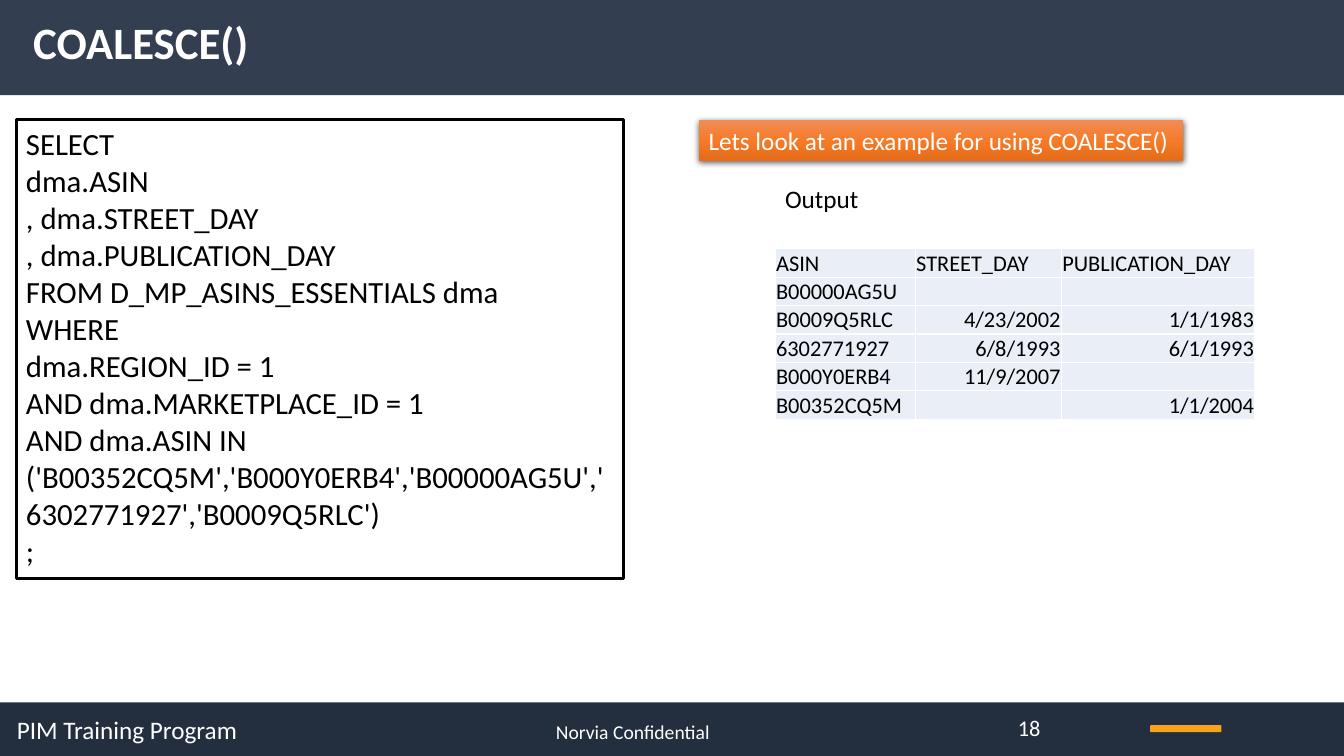
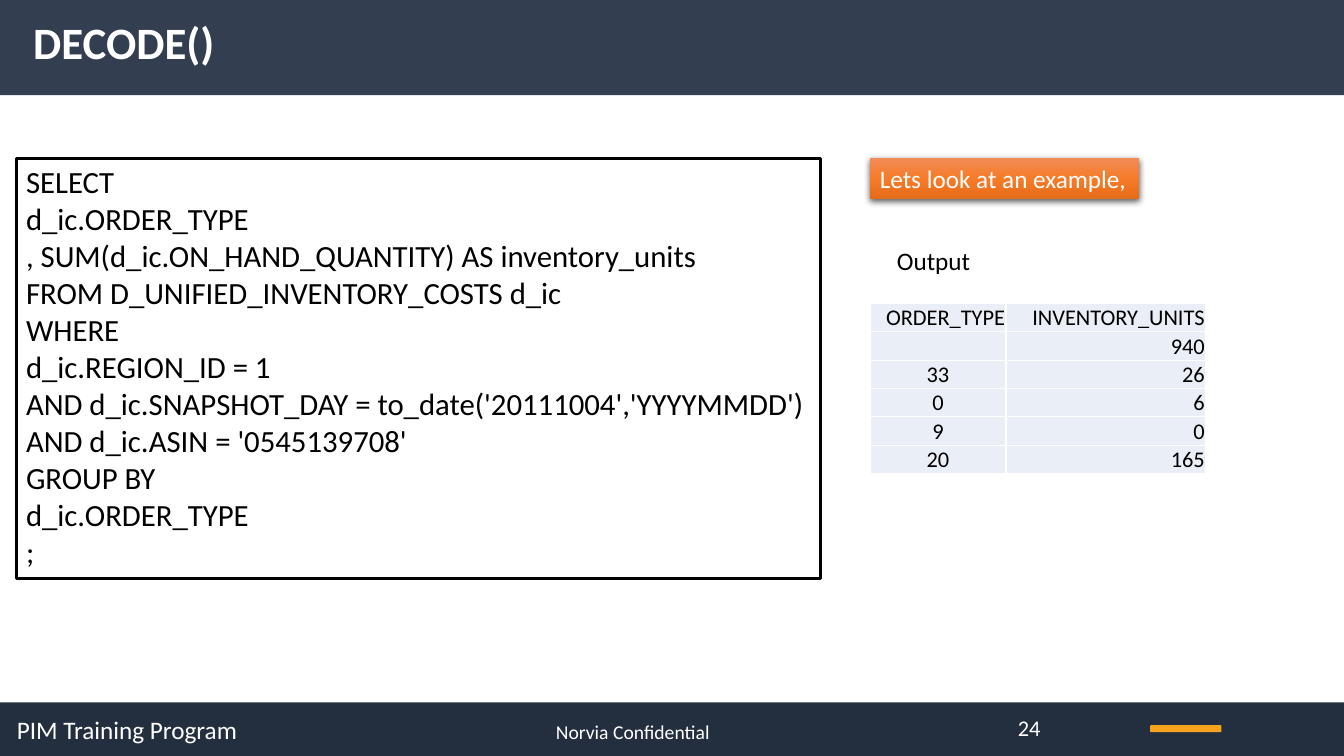
from copy import deepcopy

from lxml import etree
from pptx import Presentation
from pptx.dml import color
from pptx.enum import shapes, text
from pptx.oxml import ns
from pptx.util import Pt

FONT = "Calibri"
WIDTH, HEIGHT = 960, 540
WHITE, BLACK = "FFFFFF", "000000"
TITLE_BAND, FOOTER_BAND, ACCENT = "333F50", "232F3E", "F7A31E"
CELL_FILL = "EAEFF7"
BUTTON_STOPS = [(0, "F18C57"), (0.5, "F67B28"), (1, "E56C19")]
CODE_LEFT, CODE_BOTTOM = 11.5, 413
LABEL_HEIGHT, ROW_HEIGHT = 29, 19.92
ALIGNMENTS = {
    "l": text.PP_ALIGN.LEFT,
    "c": text.PP_ALIGN.CENTER,
    "r": text.PP_ALIGN.RIGHT,
}

COALESCE = {
    "title": "COALESCE()",
    "number": "18",
    "top": 85.7,
    "code_width": 434.2,
    "code": [
        "SELECT",
        "dma.ASIN",
        ", dma.STREET_DAY",
        ", dma.PUBLICATION_DAY",
        "FROM D_MP_ASINS_ESSENTIALS dma",
        "WHERE",
        "dma.REGION_ID = 1",
        "AND dma.MARKETPLACE_ID = 1",
        "AND dma.ASIN IN ('B00352CQ5M','B000Y0ERB4','B00000AG5U',"
        "'6302771927','B0009Q5RLC')",
        ";",
    ],
    "button": ("Lets look at an example for using COALESCE()", 499, 346.3),
    "output": (553.7, 127.4),
    "table": (553.7, 177.8),
    "columns": [100.1, 104.4, 138.2],
    "header_align": "lll",
    "body_align": "lrr",
    "rows": [
        ("ASIN", "STREET_DAY", "PUBLICATION_DAY"),
        ("B00000AG5U", "", ""),
        ("B0009Q5RLC", "4/23/2002", "1/1/1983"),
        ("6302771927", "6/8/1993", "6/1/1993"),
        ("B000Y0ERB4", "11/9/2007", ""),
        ("B00352CQ5M", "", "1/1/2004"),
    ],
}

DECODE = {
    "title": "DECODE()",
    "number": "24",
    "top": 113,
    "code_width": 574.6,
    "code": [
        "SELECT",
        "d_ic.ORDER_TYPE",
        ", SUM(d_ic.ON_HAND_QUANTITY) AS inventory_units",
        "FROM D_UNIFIED_INVENTORY_COSTS d_ic",
        "WHERE",
        "d_ic.REGION_ID = 1",
        "AND d_ic.SNAPSHOT_DAY = to_date('20111004','YYYYMMDD')",
        "AND d_ic.ASIN = '0545139708'",
        "GROUP BY",
        "d_ic.ORDER_TYPE",
        ";",
    ],
    "button": ("Lets look at an example,", 621.4, 192.2),
    "output": (633.6, 171.4),
    "table": (621.4, 216.7),
    "columns": [97.2, 142.6],
    "header_align": "rr",
    "body_align": "cr",
    "rows": [
        ("ORDER_TYPE", "INVENTORY_UNITS"),
        ("", "940"),
        ("33", "26"),
        ("0", "6"),
        ("9", "0"),
        ("20", "165"),
    ],
}


def rgb(value):
    """Turn a hex string into a colour."""
    return color.RGBColor.from_string(value)


def apply(target, values):
    """Set each format value on the target."""
    for name, value in values.items():
        setattr(target, name, value)


def write(frame, lines, size, ink, bold=False, wrap=True):
    """Fill a text frame with one paragraph per line."""
    apply(frame, {
        "word_wrap": wrap,
        "auto_size": text.MSO_AUTO_SIZE.NONE,
        "vertical_anchor": text.MSO_ANCHOR.TOP,
    })
    for index, line in enumerate(lines):
        para = frame.paragraphs[0] if index == 0 else frame.add_paragraph()
        para.alignment = text.PP_ALIGN.LEFT
        add_span(para, line, size, ink, bold)


def add_span(para, words, size, ink, bold=False):
    """Add a formatted run to a paragraph."""
    span = para.add_run()
    span.text = words
    apply(span.font, {"name": FONT, "size": Pt(size), "bold": bold})
    span.font.color.rgb = rgb(ink)


def add_label(page, words, place, size, ink, bold=False, wrap=True):
    """Add a text box at (left, top, width, height)."""
    box = page.shapes.add_textbox(*map(Pt, place))
    write(box.text_frame, [words], size, ink, bold, wrap)


def add_block(page, place, fill, line=None,
              kind=shapes.MSO_SHAPE.RECTANGLE):
    """Add a flat shape, outlined when a line colour is given."""
    block = page.shapes.add_shape(kind, *map(Pt, place))
    block.shadow.inherit = False
    block.fill.solid()
    block.fill.fore_color.rgb = rgb(fill)
    if line:
        block.line.color.rgb = rgb(line)
        block.line.width = Pt(2.25)
    else:
        block.line.fill.background()
    return block


def add_button(page, words, place):
    """Add an orange gradient label with a soft shadow."""
    button = add_block(page, place, ACCENT)
    button.fill.gradient()
    button.fill.gradient_angle = 270
    first = button.fill.gradient_stops[0]._gs
    first.addnext(deepcopy(first))
    for stop, (position, shade) in zip(button.fill.gradient_stops,
                                       BUTTON_STOPS):
        stop.position = position
        stop.color.rgb = rgb(shade)
    effects = button._element.spPr.find(ns.qn("a:effectLst"))
    shadow = etree.SubElement(
        effects, ns.qn("a:outerShdw"), blurRad=str(Pt(4.5)),
        dist=str(Pt(1.5)), dir="5400000", algn="ctr", rotWithShape="0")
    shade = etree.SubElement(shadow, ns.qn("a:srgbClr"), val=BLACK)
    etree.SubElement(shade, ns.qn("a:alpha"), val="63000")
    write(button.text_frame, [words], 18, WHITE, wrap=False)


def fill_cell(cell, words, align):
    """Format one table cell and write its value."""
    apply(cell, {
        "margin_left": Pt(0.7),
        "margin_right": Pt(0.7),
        "margin_top": Pt(0.7),
        "margin_bottom": 0,
        "vertical_anchor": text.MSO_ANCHOR.BOTTOM,
    })
    cell.fill.solid()
    cell.fill.fore_color.rgb = rgb(CELL_FILL)
    para = cell.text_frame.paragraphs[0]
    para.alignment = ALIGNMENTS[align]
    if words:
        add_span(para, words, 16, BLACK)
    else:
        etree.SubElement(para._p, ns.qn("a:endParaRPr"), sz="1600")


def add_result(page, content):
    """Add the query result as a table."""
    rows, columns = content["rows"], content["columns"]
    left, top = content["table"]
    table = page.shapes.add_table(
        len(rows), len(columns), Pt(left), Pt(top),
        Pt(sum(columns)), Pt(ROW_HEIGHT * len(rows))).table
    apply(table, {"first_row": False, "horz_banding": False})
    for column, width in zip(table.columns, columns):
        column.width = Pt(width)
    for index, values in enumerate(rows):
        table.rows[index].height = Pt(ROW_HEIGHT)
        aligns = content["body_align" if index else "header_align"]
        for cell, words, align in zip(table.rows[index].cells, values, aligns):
            fill_cell(cell, words, align)


def add_frame(page, title, number):
    """Add the title band and footer that all pages share."""
    add_block(page, (0, 501.8, WIDTH, HEIGHT - 501.8), FOOTER_BAND)
    add_block(page, (821.5, 518, 51, 5), ACCENT,
              kind=shapes.MSO_SHAPE.ROUNDED_RECTANGLE)
    add_label(page, "PIM Training Program", (5, 507, 300, LABEL_HEIGHT),
              18, WHITE)
    add_label(page, "Norvia Confidential", (390, 510.8, 200, 25), 14, WHITE)
    add_label(page, number, (720, 506.2, 216, LABEL_HEIGHT), 16, WHITE)
    add_block(page, (0, 0, WIDTH, 68), TITLE_BAND)
    add_label(page, title, (16.6, 7.2, 482, 46), 32, WHITE, bold=True)


def add_example(deck, content):
    """Add a page with a query, its caption and its output."""
    page = deck.slides.add_slide(deck.slide_layouts[6])
    add_frame(page, content["title"], content["number"])
    top = content["top"]
    code = add_block(
        page, (CODE_LEFT, top, content["code_width"], CODE_BOTTOM - top),
        WHITE, BLACK)
    write(code.text_frame, content["code"], 22, BLACK)
    add_result(page, content)
    add_label(page, "Output", (*content["output"], 67.7, LABEL_HEIGHT),
              18, BLACK, wrap=False)
    words, left, width = content["button"]
    add_button(page, words, (left, top, width, LABEL_HEIGHT))


def main():
    """Build and save the deck."""
    deck = Presentation()
    apply(deck, {"slide_width": Pt(WIDTH), "slide_height": Pt(HEIGHT)})
    for content in (COALESCE, DECODE):
        add_example(deck, content)
    deck.save("out.pptx")


main()
